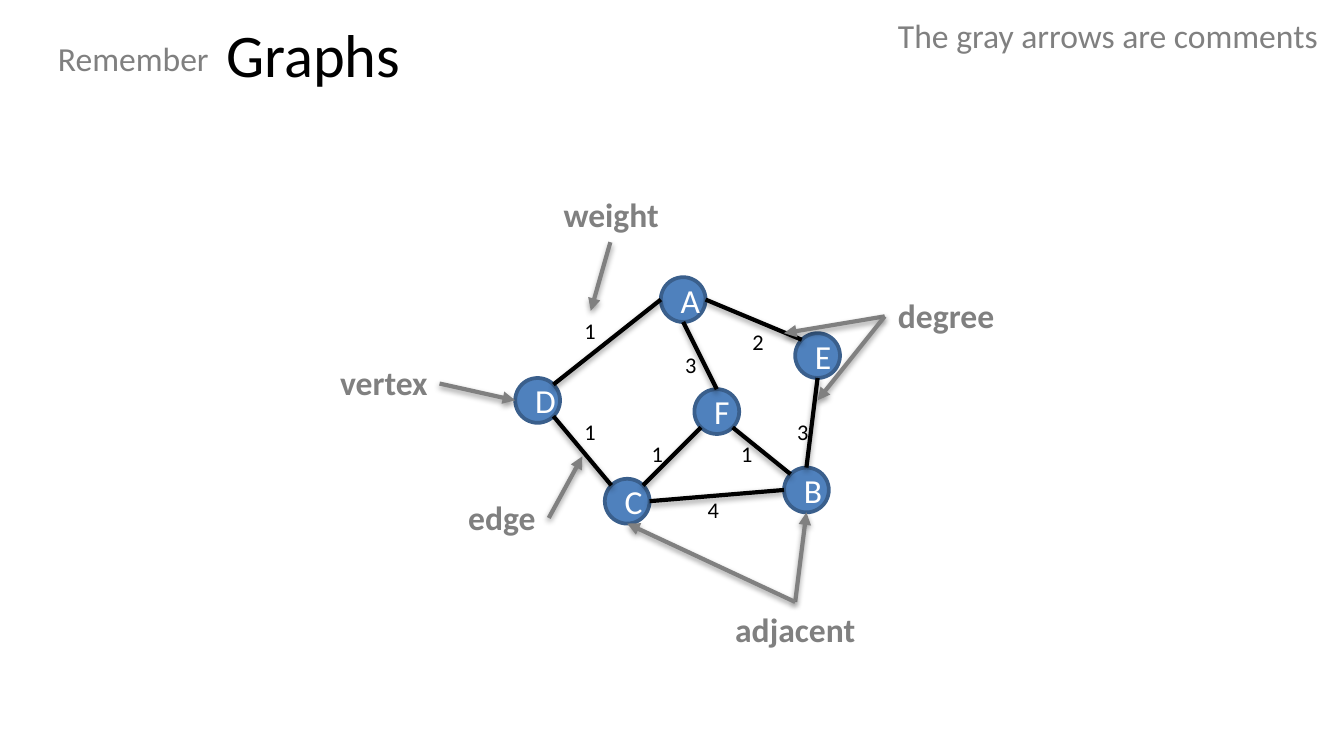
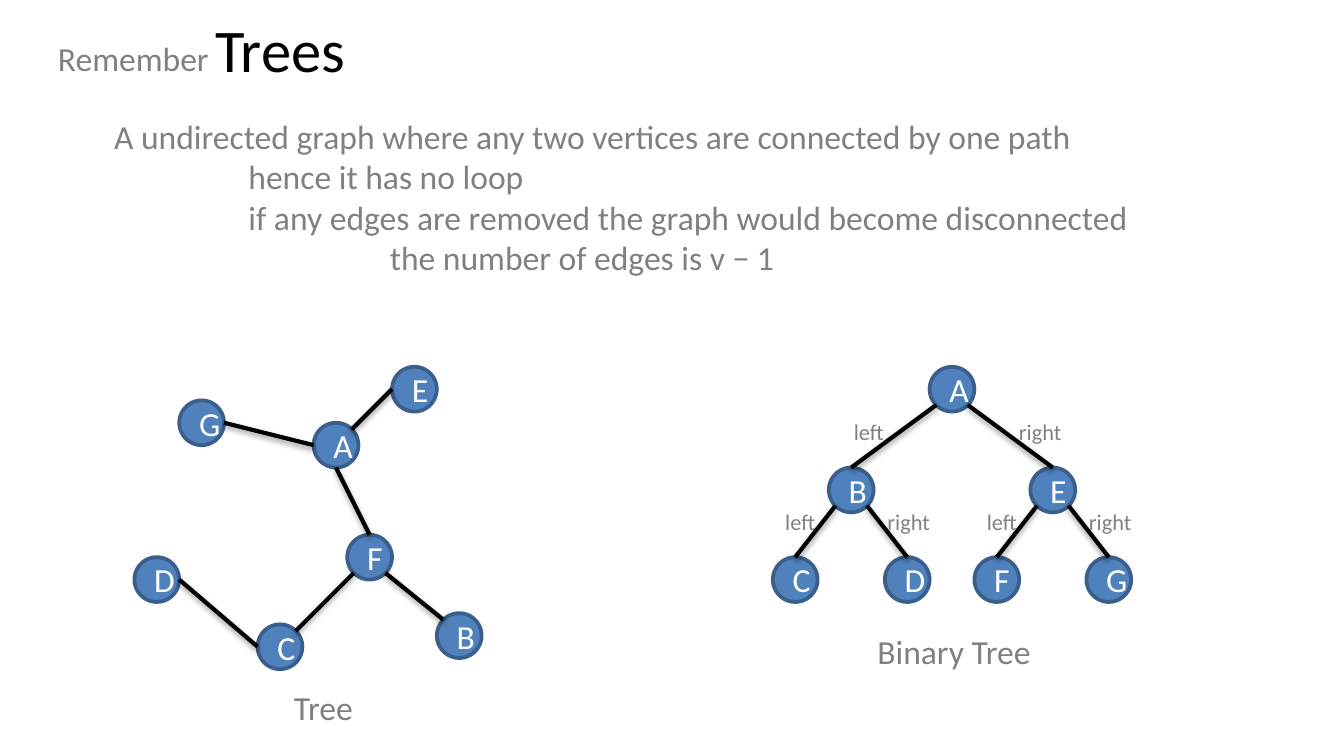
from dataclasses import dataclass
from enum import IntEnum
from math import cos, pi, sin
from typing import NamedTuple

from lxml.etree import SubElement
from pptx import Presentation
from pptx.dml.color import RGBColor as Rgb
from pptx.enum.shapes import MSO_CONNECTOR as Connector, MSO_SHAPE as Preset
from pptx.enum.text import MSO_ANCHOR as Anchor, MSO_AUTO_SIZE as AutoSize, PP_ALIGN as Align
from pptx.oxml.ns import qn
from pptx.util import Pt

PX = 9525
SLIDE_WIDTH, SLIDE_HEIGHT = 960, 540
NODE_SIZE = 32
TITLE_HEIGHT = 57
LEFT, CENTER, RIGHT = Align.LEFT, Align.CENTER, Align.RIGHT


@dataclass(frozen=True)
class Theme:
    font: str = "Calibri"
    black: Rgb = Rgb(0x00, 0x00, 0x00)
    gray: Rgb = Rgb(0x80, 0x80, 0x80)
    white: Rgb = Rgb(0xFF, 0xFF, 0xFF)
    node_fill: Rgb = Rgb(0x4F, 0x81, 0xBD)
    node_line: Rgb = Rgb(0x3A, 0x5F, 0x8C)
    title_size: float = 32.4
    text_size: float = 18
    small_size: float = 12
    node_border: float = 2
    edge_width: float = 2.25


THEME = Theme()


class Site(IntEnum):
    """Connection sites of an ellipse, counterclockwise from the top."""
    TOP = 0
    TOP_LEFT = 1
    LEFT = 2
    BOTTOM_LEFT = 3
    BOTTOM = 4
    BOTTOM_RIGHT = 5
    RIGHT = 6
    TOP_RIGHT = 7


class Point(NamedTuple):
    x: int
    y: int


class Joint(NamedTuple):
    node: str
    site: Site


class Link(NamedTuple):
    begin: Joint | Point
    end: Joint | Point


@dataclass(frozen=True)
class Label:
    text: str
    left: int
    top: int
    width: int
    height: int = 38
    align: Align = LEFT
    size: float = THEME.text_size
    color: Rgb = THEME.gray
    bold: bool = False
    wrap: bool = True


@dataclass(frozen=True)
class Graph:
    nodes: dict[str, Point]
    edges: list[Link]
    arrows: tuple[Link, ...] = ()


def edge(begin: str, begin_site: Site, end: str, end_site: Site) -> Link:
    return Link(Joint(begin, begin_site), Joint(end, end_site))


def weight_label(text: str, left: int, top: int) -> Label:
    return Label(text, left, top, 28, 29, size=THEME.small_size, color=THEME.black, wrap=False)


def branch_label(text: str, left: int, top: int) -> Label:
    width = 41 if text == "left" else 50
    return Label(text, left, top, width, 29, CENTER, THEME.small_size, wrap=False)


def comment_label(text: str, left: int, top: int, width: int, align: Align,
                  wrap: bool = True) -> Label:
    return Label(text, left, top, width, align=align, bold=True, wrap=wrap)


def place(left: int, top: int, width: int, height: int) -> tuple[int, ...]:
    return tuple(length * PX for length in (left, top, width, height))


def style_paragraph(para, size: float, color: Rgb, align: Align = LEFT, bold: bool = False) -> None:
    para.alignment = align
    para.font.name = THEME.font
    para.font.size = Pt(size)
    para.font.color.rgb = color
    para.font.bold = bold


def add_label(page, label: Label):
    box = page.shapes.add_textbox(*place(label.left, label.top, label.width, label.height))
    frame = box.text_frame
    frame.word_wrap = label.wrap
    frame.auto_size = AutoSize.SHAPE_TO_FIT_TEXT
    frame.text = label.text
    for para in frame.paragraphs:
        style_paragraph(para, label.size, label.color, label.align, label.bold)
    return box


def add_node(page, name: str, corner: Point):
    node = page.shapes.add_shape(Preset.OVAL, *place(*corner, NODE_SIZE, NODE_SIZE))
    node.shadow.inherit = False
    node.fill.solid()
    node.fill.fore_color.rgb = THEME.node_fill
    node.line.color.rgb = THEME.node_line
    node.line.width = Pt(THEME.node_border)
    node.text_frame.text = name
    node.text_frame.vertical_anchor = Anchor.MIDDLE
    style_paragraph(node.text_frame.paragraphs[0], THEME.text_size, THEME.white, CENTER)
    return node


def locate(end: Joint | Point, corners: dict[str, Point]) -> tuple[int, int]:
    """Position of a line end in EMU."""
    if isinstance(end, Point):
        return end.x * PX, end.y * PX
    corner, radius, angle = corners[end.node], NODE_SIZE / 2, end.site * pi / 4
    return (round((corner.x + radius - radius * sin(angle)) * PX),
            round((corner.y + radius - radius * cos(angle)) * PX))


def add_soft_shadow(line) -> None:
    effects = SubElement(line.element.spPr, qn("a:effectLst"))
    shadow = SubElement(effects, qn("a:outerShdw"), blurRad="40000", dist="20000",
                        dir="5400000", rotWithShape="0")
    color = SubElement(shadow, qn("a:srgbClr"), val=str(THEME.black))
    SubElement(color, qn("a:alpha"), val="38000")


def add_link(page, link: Link, graph: Graph, nodes: dict, is_arrow: bool) -> None:
    """Draw a line, glued to its nodes; an arrow has its head at the beginning."""
    line = page.shapes.add_connector(
        Connector.STRAIGHT, *locate(link.begin, graph.nodes), *locate(link.end, graph.nodes))
    line.line.color.rgb = THEME.gray if is_arrow else THEME.black
    line.line.width = Pt(THEME.edge_width)
    if is_arrow:
        SubElement(line.element.spPr.find(qn("a:ln")), qn("a:headEnd"), type="triangle")
    add_soft_shadow(line)
    # begin_connect knows only the four sides of a rectangle, an ellipse has eight sites
    glue = line.element.nvCxnSpPr.cNvCxnSpPr
    for tag, end in (("a:stCxn", link.begin), ("a:endCxn", link.end)):
        if isinstance(end, Joint):
            SubElement(glue, qn(tag), id=str(nodes[end.node].shape_id), idx=str(int(end.site)))


def add_graph(page, graph: Graph) -> None:
    nodes = {name: add_node(page, name, corner) for name, corner in graph.nodes.items()}
    for link in graph.edges:
        add_link(page, link, graph, nodes, is_arrow=False)
    for link in graph.arrows:
        add_link(page, link, graph, nodes, is_arrow=True)


def add_page(deck, title: str, left: int, top: int, width: int, align: Align):
    """Add a slide with its title and the word "Remember" before it."""
    page = deck.slides.add_slide(deck.slide_layouts[5])
    box = page.shapes.title
    box.left, box.top, box.width, box.height = place(left, top, width, TITLE_HEIGHT)
    box.text_frame.text = title
    box.text_frame.vertical_anchor = Anchor.MIDDLE
    style_paragraph(box.text_frame.paragraphs[0], THEME.title_size, THEME.black, align)
    add_label(page, Label("Remember", 32, 22, 136))
    return page


WEIGHTED_GRAPH = Graph(
    nodes={"A": Point(472, 198), "C": Point(432, 342), "B": Point(560, 334),
           "D": Point(368, 270), "E": Point(568, 238), "F": Point(496, 278)},
    edges=[
        edge("A", Site.LEFT, "D", Site.TOP_RIGHT),
        edge("C", Site.TOP_LEFT, "D", Site.BOTTOM_RIGHT),
        edge("C", Site.TOP_RIGHT, "F", Site.BOTTOM_LEFT),
        edge("B", Site.TOP_LEFT, "F", Site.BOTTOM_RIGHT),
        edge("E", Site.BOTTOM, "B", Site.TOP),
        edge("E", Site.TOP_LEFT, "A", Site.RIGHT),
        edge("B", Site.LEFT, "C", Site.RIGHT),
        edge("A", Site.BOTTOM, "F", Site.TOP),
    ],
    arrows=(
        Link(Joint("D", Site.LEFT), Point(314, 274)),
        Link(Point(416, 326), Point(392, 370)),
        Link(Joint("B", Site.BOTTOM), Point(568, 430)),
        Link(Joint("C", Site.BOTTOM), Point(568, 430)),
        Link(Point(560, 238), Point(632, 226)),
        Link(Point(584, 286), Point(632, 226)),
        Link(Point(422, 222), Point(436, 173)),
    ),
)
GRAPH_LABELS = [
    Label("The gray arrows are comments", 632, 6, 323),
    comment_label("vertex", 232, 254, 83, RIGHT, wrap=False),
    comment_label("edge", 320, 350, 72, RIGHT),
    comment_label("adjacent", 512, 430, 112, CENTER),
    comment_label("degree", 632, 206, 96, LEFT),
    comment_label("weight", 392, 134, 88, RIGHT),
    weight_label("1", 408, 222), weight_label("1", 408, 294),
    weight_label("3", 480, 246), weight_label("2", 528, 230),
    weight_label("3", 560, 294), weight_label("4", 496, 350),
    weight_label("1", 456, 310), weight_label("1", 520, 310),
]

TREE = Graph(
    nodes={"G": Point(128, 286), "A": Point(224, 302), "E": Point(280, 262),
           "F": Point(248, 382), "B": Point(312, 438), "C": Point(184, 446),
           "D": Point(96, 398)},
    edges=[
        edge("C", Site.LEFT, "D", Site.RIGHT),
        edge("C", Site.TOP_RIGHT, "F", Site.BOTTOM_LEFT),
        edge("B", Site.TOP_LEFT, "F", Site.BOTTOM_RIGHT),
        edge("E", Site.LEFT, "A", Site.TOP_RIGHT),
        edge("A", Site.LEFT, "G", Site.RIGHT),
        edge("A", Site.BOTTOM, "F", Site.TOP),
    ],
)
BINARY_TREE = Graph(
    nodes={"A": Point(664, 262), "B": Point(592, 334), "E": Point(736, 334),
           "C": Point(552, 398), "D": Point(632, 398), "F": Point(696, 398),
           "G": Point(776, 398)},
    edges=[edge(child, Site.TOP, parent, site)
           for parent, left_child, right_child in ("ABE", "BCD", "EFG")
           for child, site in ((left_child, Site.BOTTOM_LEFT), (right_child, Site.BOTTOM_RIGHT))],
)
TREE_LABELS = [
    Label("Tree", 200, 486, 62, align=CENTER, wrap=False),
    Label("Binary Tree", 616, 446, 131, align=CENTER, wrap=False),
    branch_label("left", 600, 294), branch_label("right", 718, 294),
    branch_label("left", 551, 358), branch_label("right", 624, 358),
    branch_label("left", 695, 358), branch_label("right", 768, 358),
]
TREE_FACTS = [
    (0, "A undirected graph where any two vertices are connected by one path"),
    (96, "hence it has no loop"),
    (96, "if any edges are removed the graph would become disconnected"),
    (197, "the number of edges is v − 1"),
]


def build_graphs_page(deck) -> None:
    page = add_page(deck, "Graphs", 152, 13, 144, LEFT)
    page.shapes.title.text_frame.paragraphs[0].line_spacing = 0.9
    add_graph(page, WEIGHTED_GRAPH)
    for label in GRAPH_LABELS:
        add_label(page, label)


def build_trees_page(deck) -> None:
    page = add_page(deck, "Trees", 144, 6, 112, CENTER)
    facts = add_label(page, Label("\n".join(text for _, text in TREE_FACTS), 72, 78, 784, 126))
    for para, (indent, _) in zip(facts.text_frame.paragraphs, TREE_FACTS):
        para._p.get_or_add_pPr().set("marL", str(indent * PX))
    for graph in (TREE, BINARY_TREE):
        add_graph(page, graph)
    for label in TREE_LABELS:
        add_label(page, label)


def main() -> None:
    deck = Presentation()
    deck.slide_width, deck.slide_height = SLIDE_WIDTH * PX, SLIDE_HEIGHT * PX
    build_graphs_page(deck)
    build_trees_page(deck)
    deck.save("out.pptx")


if __name__ == "__main__":
    main()
